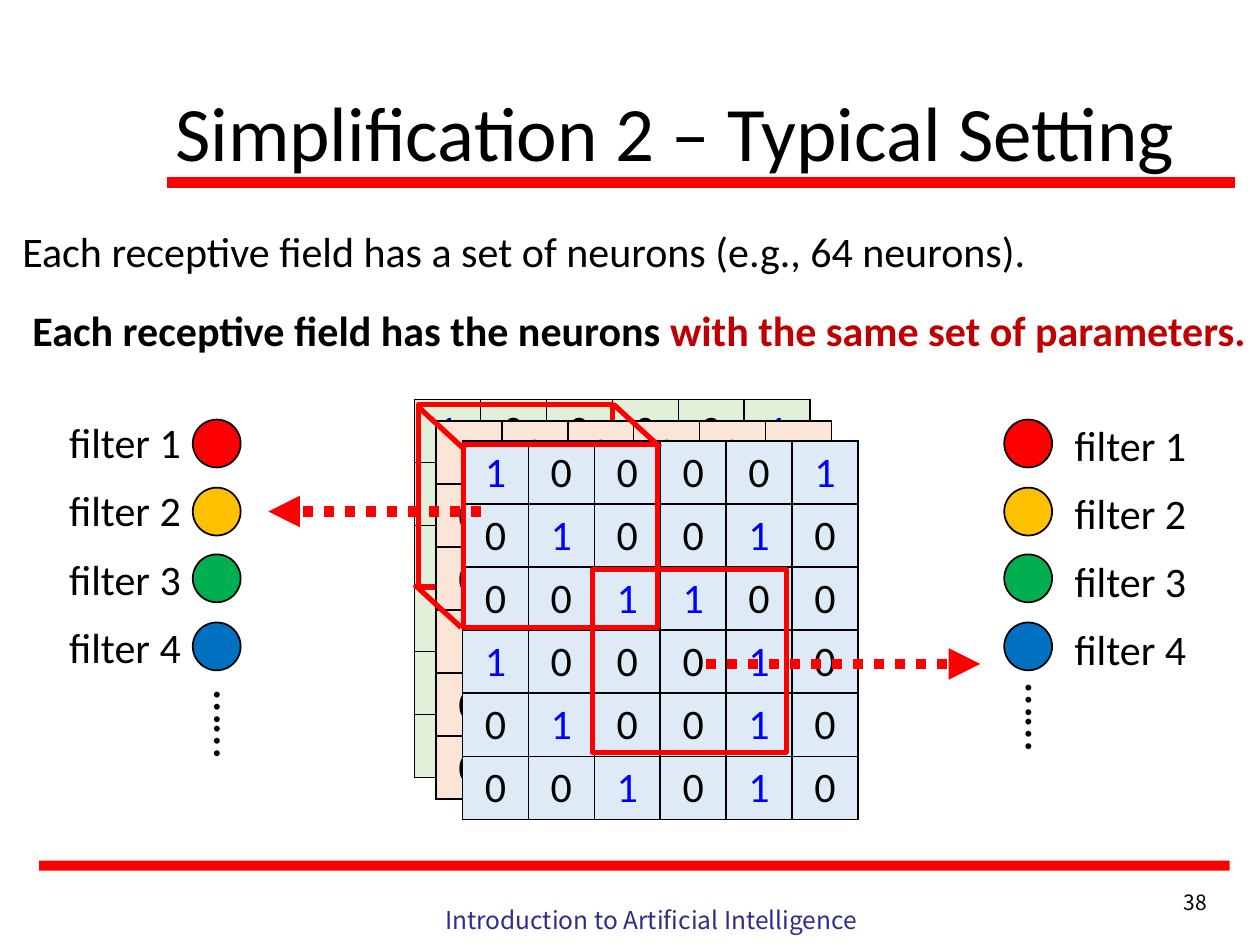
from lxml.etree import SubElement
from pptx import Presentation
from pptx.dml.color import RGBColor
from pptx.enum.dml import MSO_LINE
from pptx.enum.shapes import MSO_CONNECTOR, MSO_SHAPE
from pptx.enum.text import MSO_ANCHOR, MSO_AUTO_SIZE, PP_ALIGN
from pptx.oxml.ns import qn
from pptx.util import Pt

SCALE = 9144
FONT, SANS = "Calibri", "Noto Sans CJK SC"
RED, BLACK, BLUE = "FF0000", "000000", "0000FF"
GRID = ["100001", "010010", "001100", "100010", "010010", "001010"]
CELL_W, CELL_H = 52.33, 50
FIELD_W, FIELD_H = 154, 145


def px(*vals):
    """Turn lengths in px into EMU."""
    return [round(val * SCALE) for val in vals]


def color(code):
    """Turn a hex string into a colour."""
    return RGBColor.from_string(code)


def style(run, size, code=BLACK, face=FONT, bold=False):
    """Format one run."""
    font = run.font
    font.size, font.name, font.bold = Pt(size), face, bold
    font.color.rgb = color(code)


def label(slide, box, text, size=24, code=BLACK, face=FONT, align=PP_ALIGN.LEFT):
    """Add one line of text and return its shape."""
    shape = slide.shapes.add_textbox(*px(*box))
    frame = shape.text_frame
    frame.word_wrap = True
    frame.text = text
    para = frame.paragraphs[0]
    para.alignment = align
    style(para.runs[0], size, code, face)
    return shape


def block(slide, kind, box, fill=None, edge=None, width=1):
    """Add a preset shape with an optional fill and outline."""
    shape = slide.shapes.add_shape(kind, *px(*box))
    shape.shadow.inherit = False
    if fill:
        shape.fill.solid()
        shape.fill.fore_color.rgb = color(fill)
    else:
        shape.fill.background()
    if edge:
        shape.line.color.rgb = color(edge)
        shape.line.width = Pt(width)
    else:
        shape.line.fill.background()


def stroke(slide, start, end, width=3, arrow=False):
    """Add a red line, dotted with a head if it is an arrow."""
    link = slide.shapes.add_connector(MSO_CONNECTOR.STRAIGHT, *px(*start, *end))
    link.line.color.rgb = color(RED)
    link.line.width = Pt(width)
    props = link._element.spPr
    if arrow:
        link.line.dash_style = MSO_LINE.ROUND_DOT
        SubElement(props.find(qn("a:ln")), qn("a:tailEnd"), type="triangle")
    SubElement(props, qn("a:effectLst"))


def border(cell):
    """Draw a thin black line on each side of a cell."""
    props = cell._tc.get_or_add_tcPr()
    for side in ("a:lnL", "a:lnR", "a:lnT", "a:lnB"):
        line = SubElement(props, qn(side), w=str(Pt(1)))
        SubElement(SubElement(line, qn("a:solidFill")), qn("a:srgbClr"), val=BLACK)


def channel(slide, left, top, fill):
    """Add one image channel as a table of bits."""
    count = len(GRID)
    box = px(left, top, CELL_W * count, CELL_H * count)
    table = slide.shapes.add_table(count, count, *box).table
    table.first_row = table.horz_banding = False
    for row, bits in enumerate(GRID):
        for col, bit in enumerate(bits):
            cell = table.cell(row, col)
            border(cell)
            cell.fill.solid()
            cell.fill.fore_color.rgb = color(fill)
            cell.text_frame.text = bit
            para = cell.text_frame.paragraphs[0]
            para.alignment = PP_ALIGN.CENTER
            style(para.runs[0], 24, BLUE if bit == "1" else BLACK)


def field(slide, left, top):
    """Outline a receptive field."""
    block(slide, MSO_SHAPE.RECTANGLE, (left, top, FIELD_W, FIELD_H), None, RED, 3)


def stack(slide, left, top):
    """Add the three channels with their receptive fields."""
    channel(slide, left, top, "E2F0D9")
    field(slide, left + 3, top + 4)
    channel(slide, left + 17, top + 17, "FBE5D6")
    channel(slide, left + 38, top + 33, "DEEBF7")
    field(slide, left + 39, top + 36)
    for x, y in ((0, 147), (3, 6), (158, 4)):
        stroke(slide, (left + x, top + y), (left + x + 37, top + y + 34))
    field(slide, left + 141, top + 135)


def filters(slide, left, top, shift, drop, tail):
    """Add a column of neurons with labels and trailing dots."""
    for num, fill in enumerate((RED, "FFC000", "00B050", "0070C0")):
        spot = (left, top + round(num * 53.67), 38, 38)
        block(slide, MSO_SHAPE.OVAL, spot, fill, BLACK)
        label(slide, (left + shift, top + drop + num * 54, 136, 50), f"filter {num + 1}")
    dots = label(slide, (left - 31, top + tail, 127, 57), "……", 28)
    dots.rotation = 90


def header(slide, left, top):
    """Fill the title and underline it."""
    title = slide.shapes.title
    title.left, title.top, title.width, title.height = px(left, top, 862, 145)
    frame = title.text_frame
    frame.text = "Simplification 2 – Typical Setting"
    frame.auto_size = MSO_AUTO_SIZE.NONE
    frame.vertical_anchor = MSO_ANCHOR.MIDDLE
    para = frame.paragraphs[0]
    para.alignment, para.line_spacing = PP_ALIGN.LEFT, 0.9
    style(para.runs[0], 44)
    block(slide, MSO_SHAPE.RECTANGLE, (left + 4, top + 105, 847, 8), RED, RED, 0.75)


def claims(slide, left, top):
    """Add the two statements below the title."""
    label(slide, (left, top, 820, 50),
          "Each receptive field has a set of neurons (e.g., 64 neurons).",
          align=PP_ALIGN.CENTER)
    shape = label(slide, (left + 10, top + 63, 993, 50), "Each receptive field has the neurons ")
    para = shape.text_frame.paragraphs[0]
    para.add_run().text = "with the same set of parameters."
    for run, code in zip(para.runs, (BLACK, "C00000")):
        style(run, 24, code, bold=True)


def footer(slide, left, top):
    """Add the bottom bar, course name and page number."""
    block(slide, MSO_SHAPE.RECTANGLE, (left, top, 945, 8), RED)
    label(slide, (left + 273, top + 30, 426, 52), "Introduction to Artificial Intelligence",
          14, "2D2D8A", SANS, PP_ALIGN.CENTER)
    label(slide, (left + 827, top + 18, 110, 24), "38", 12, BLACK, SANS, PP_ALIGN.RIGHT)


def main():
    """Build and save the slide."""
    deck = Presentation()
    deck.slide_width, deck.slide_height = px(1000, 750)
    slide = deck.slides.add_slide(deck.slide_layouts[5])
    footer(slide, 31, 683)
    header(slide, 129, 36)
    stack(slide, 329, 317)
    claims(slide, 6, 174)
    filters(slide, 153, 333, -108, -7, 240)
    filters(slide, 797, 333, 46, -5, 235)
    stroke(slide, (382, 406), (213, 406), 6, True)
    stroke(slide, (560, 527), (778, 527), 6, True)
    deck.save("out.pptx")


if __name__ == "__main__":
    main()
